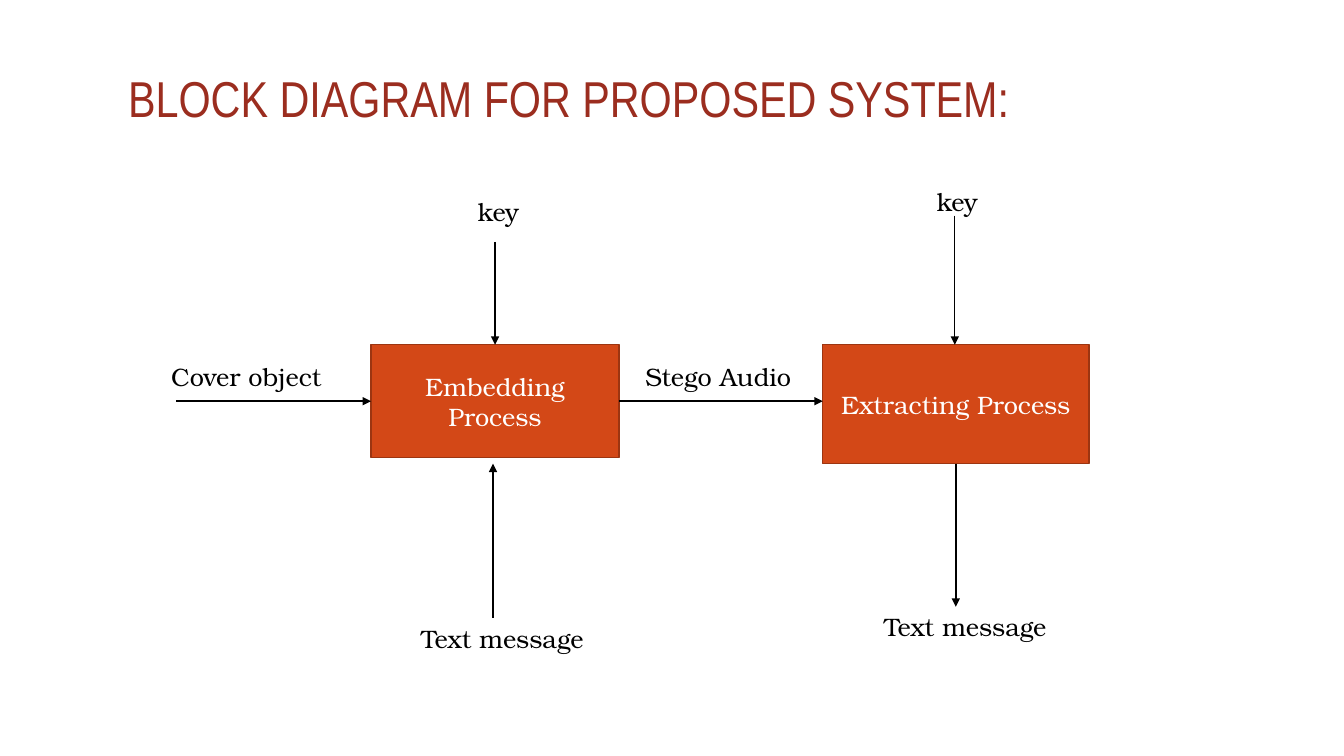
from lxml.etree import SubElement
from pptx import Presentation
from pptx.dml.color import RGBColor
from pptx.enum.shapes import MSO_CONNECTOR, MSO_SHAPE
from pptx.enum.text import MSO_ANCHOR, MSO_AUTO_SIZE, PP_ALIGN
from pptx.oxml.ns import qn
from pptx.util import Inches, Pt

SERIF = "TeX Gyre Bonum"
BLACK = "000000"


def color(code):
    return RGBColor.from_string(code)


def place(box):
    return [Inches(v) for v in box]


def write(frame, text, size, font, code, align=PP_ALIGN.LEFT):
    frame.word_wrap = True
    para = frame.paragraphs[0]
    para.alignment = align
    run = para.add_run()
    run.text = text
    run.font.size = Pt(size)
    run.font.name = font
    run.font.color.rgb = color(code)
    return para


def add_title(slide, box, text):
    title = slide.shapes.title
    title.left, title.top, title.width, title.height = place(box)
    frame = title.text_frame
    frame.auto_size = MSO_AUTO_SIZE.NONE
    frame.vertical_anchor = MSO_ANCHOR.TOP
    frame.margin_top = Inches(0.2)
    para = write(frame, text, 36, "Arial Narrow", "9B2D1F")
    para.line_spacing = 0.9
    para.space_before = Pt(0)


def add_block(slide, box, text):
    block = slide.shapes.add_shape(MSO_SHAPE.RECTANGLE, *place(box))
    block.shadow.inherit = False
    block.fill.solid()
    block.fill.fore_color.rgb = color("D34817")
    block.line.color.rgb = color("9C3511")
    block.line.width = Pt(1)
    block.text_frame.vertical_anchor = MSO_ANCHOR.MIDDLE
    write(block.text_frame, text, 18, SERIF, "FFFFFF", PP_ALIGN.CENTER)


def add_label(slide, box, text, inset=0.1):
    label = slide.shapes.add_textbox(*place(box))
    frame = label.text_frame
    frame.auto_size = MSO_AUTO_SIZE.SHAPE_TO_FIT_TEXT
    frame.margin_left = Inches(inset)
    write(frame, text, 18, SERIF, BLACK)


def add_arrow(slide, start, end):
    arrow = slide.shapes.add_connector(
        MSO_CONNECTOR.STRAIGHT, *place(start), *place(end))
    arrow.line.color.rgb = color(BLACK)
    arrow.line.width = Pt(1)
    SubElement(arrow.line._get_or_add_ln(), qn("a:tailEnd"), type="triangle")
    SubElement(arrow._element.spPr, qn("a:effectLst"))


def add_embed(slide, box):
    x, y, w, h = box
    mid = x + w / 2
    flow = y + 0.56
    add_block(slide, box, "Embedding Process")
    add_arrow(slide, (x - 1.93, flow), (x, flow))
    add_arrow(slide, (mid, y - 1.02), (mid, y))
    add_arrow(slide, (mid - 0.02, y + 2.71), (mid - 0.02, y + h + 0.06))
    add_label(slide, (x - 2.08, y + 0.12, 1.93, 0.4), "Cover object")
    add_label(slide, (mid - 0.27, y - 1.52, 0.66, 0.4), "key")
    add_label(slide, (mid - 0.83, y + 2.71, 2.24, 0.4), "Text message")


def add_extract(slide, box):
    x, y, w, h = box
    mid = x + w / 2
    add_block(slide, box, "Extracting Process")
    add_arrow(slide, (mid - 0.01, y - 1.28), (mid - 0.01, y))
    add_arrow(slide, (mid, y + h), (mid, y + 2.6))
    add_label(slide, (mid - 0.29, y - 1.62, 0.78, 0.4), "key")
    add_label(slide, (mid - 0.81, y + 2.6, 1.82, 0.4), "Text message")


def add_link(slide, box):
    x, y, w, h = box
    add_arrow(slide, (x, y + h), (x + w, y + h))
    add_label(slide, (x + 0.08, y, 1.85, 0.4), "Stego Audio", 0.18)


def main():
    deck = Presentation()
    deck.slide_width = Inches(13.33)
    deck.slide_height = Inches(7.5)
    slide = deck.slides.add_slide(deck.slide_layouts[5])
    add_title(slide, (1.17, 0.53, 11, 1.76),
              "BLOCK DIAGRAM FOR PROPOSED SYSTEM:")
    add_embed(slide, (3.68, 3.42, 2.46, 1.12))
    add_extract(slide, (8.16, 3.42, 2.64, 1.18))
    add_link(slide, (6.14, 3.54, 2.02, 0.44))
    deck.save("out.pptx")


if __name__ == "__main__":
    main()
